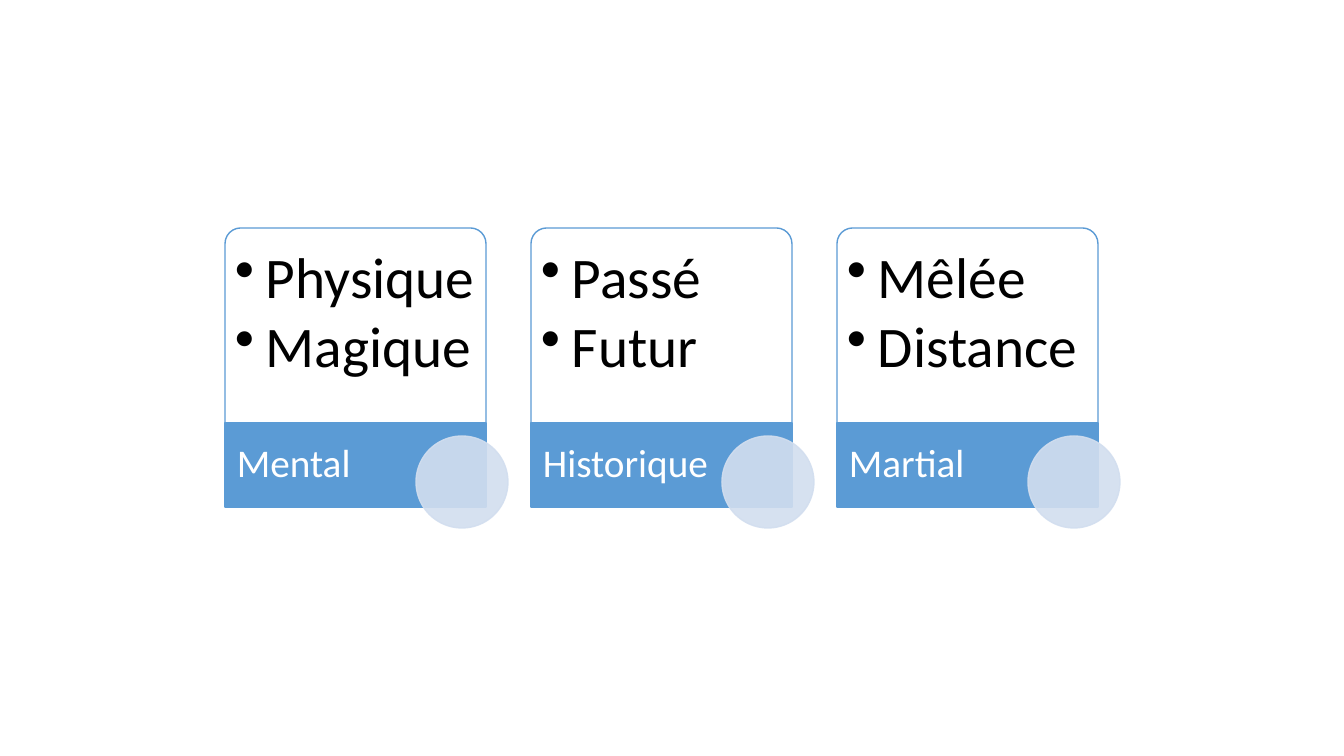
"""Build a slide with three cards, each a bulleted panel over a named band with a disc."""
from lxml import etree
from pptx import Presentation
from pptx.dml.color import RGBColor
from pptx.enum.shapes import MSO_SHAPE
from pptx.enum.text import MSO_ANCHOR, PP_ALIGN
from pptx.oxml.ns import qn
from pptx.util import Pt

PANEL = MSO_SHAPE.ROUND_2_SAME_RECTANGLE
BAND = MSO_SHAPE.RECTANGLE
DISC = MSO_SHAPE.OVAL
TOP, MIDDLE = MSO_ANCHOR.TOP, MSO_ANCHOR.MIDDLE
LEFT = PP_ALIGN.LEFT

CARDS = [
    ("Mental", ["Physique", "Magique"]),
    ("Historique", ["Passé", "Futur"]),
    ("Martial", ["Mêlée", "Distance"]),
]
FONT = "Calibri"
WHITE, BLACK, BLUE, PALE = "FFFFFF", "000000", "5B9BD5", "D2DEEF"

EMU_PER_PX = 914400 / 100.8
SLIDE_WIDTH, SLIDE_HEIGHT = 1344, 756
FIRST_LEFT, CARD_TOP, CARD_PITCH, CARD_WIDTH = 225, 228, 306, 261
PANEL_HEIGHT, BAND_HEIGHT = 195, 84
BAND_TOP = CARD_TOP + PANEL_HEIGHT
PANEL_INSET, LABEL_WIDTH = 4, 184
DISC_OFFSET, DISC_DROP, DISC_SIZE = 191, 13, 92
BULLET_INDENT = 31


def px(length):
    return round(length * EMU_PER_PX)


def color(value):
    return RGBColor.from_string(value)


def set_alpha(fill_element, percent):
    color_element = fill_element.find(".//" + qn("a:srgbClr"))
    etree.SubElement(color_element, qn("a:alpha")).set("val", str(percent * 1000))


def add_block(slide, kind, box, fill, line, fill_alpha=100, line_alpha=100):
    shape = slide.shapes.add_shape(kind, *map(px, box))
    shape.shadow.inherit = False
    shape.fill.solid()
    shape.fill.fore_color.rgb = color(fill)
    shape.line.color.rgb = color(line)
    shape.line.width = Pt(1)
    properties = shape.fill._xPr
    if fill_alpha < 100:
        set_alpha(properties.find(qn("a:solidFill")), fill_alpha)
    if line_alpha < 100:
        set_alpha(properties.find(qn("a:ln")), line_alpha)
    return shape


def add_text(slide, box, lines, size, font_color, insets, anchor, space_after):
    text_frame = slide.shapes.add_textbox(*map(px, box)).text_frame
    text_frame.word_wrap = True
    text_frame.vertical_anchor = anchor
    (text_frame.margin_left, text_frame.margin_top,
     text_frame.margin_right, text_frame.margin_bottom) = map(px, insets)
    text_frame.text = "\n".join(lines)
    for paragraph in text_frame.paragraphs:
        paragraph.alignment = LEFT
        paragraph.line_spacing = 0.9
        paragraph.space_after = Pt(space_after)
        font = paragraph.runs[0].font
        font.name = FONT
        font.size = Pt(size)
        font.color.rgb = color(font_color)
    return text_frame


def add_bullets(text_frame):
    for paragraph in text_frame.paragraphs:
        paragraph.level = 1
        properties = paragraph._p.get_or_add_pPr()
        properties.set("marL", str(px(BULLET_INDENT)))
        properties.set("indent", str(-px(BULLET_INDENT)))
        etree.SubElement(properties, qn("a:buChar")).set("char", "•")


def add_card(slide, left, name, items):
    panel = add_block(slide, PANEL, (left, CARD_TOP, CARD_WIDTH, PANEL_HEIGHT),
                      WHITE, BLUE, fill_alpha=90)
    panel.adjustments[0] = 0.08
    items_box = (left + PANEL_INSET, CARD_TOP + PANEL_INSET,
                 CARD_WIDTH - 2 * PANEL_INSET, PANEL_HEIGHT - PANEL_INSET)
    add_bullets(add_text(slide, items_box, items, 41, BLACK, (6, 17, 6, 6), TOP, 5))
    add_block(slide, BAND, (left, BAND_TOP, CARD_WIDTH, BAND_HEIGHT), BLUE, BLUE)
    add_text(slide, (left, BAND_TOP, LABEL_WIDTH, BAND_HEIGHT), [name], 28, WHITE,
             (12, 0, 4, 0), MIDDLE, 0)
    add_block(slide, DISC, (left + DISC_OFFSET, BAND_TOP + DISC_DROP, DISC_SIZE, DISC_SIZE),
              PALE, PALE, fill_alpha=90, line_alpha=90)


def main():
    presentation = Presentation()
    presentation.slide_width = px(SLIDE_WIDTH)
    presentation.slide_height = px(SLIDE_HEIGHT)
    slide = presentation.slides.add_slide(presentation.slide_layouts[6])
    for index, (name, items) in enumerate(CARDS):
        add_card(slide, FIRST_LEFT + index * CARD_PITCH, name, items)
    presentation.save("out.pptx")


if __name__ == "__main__":
    main()
